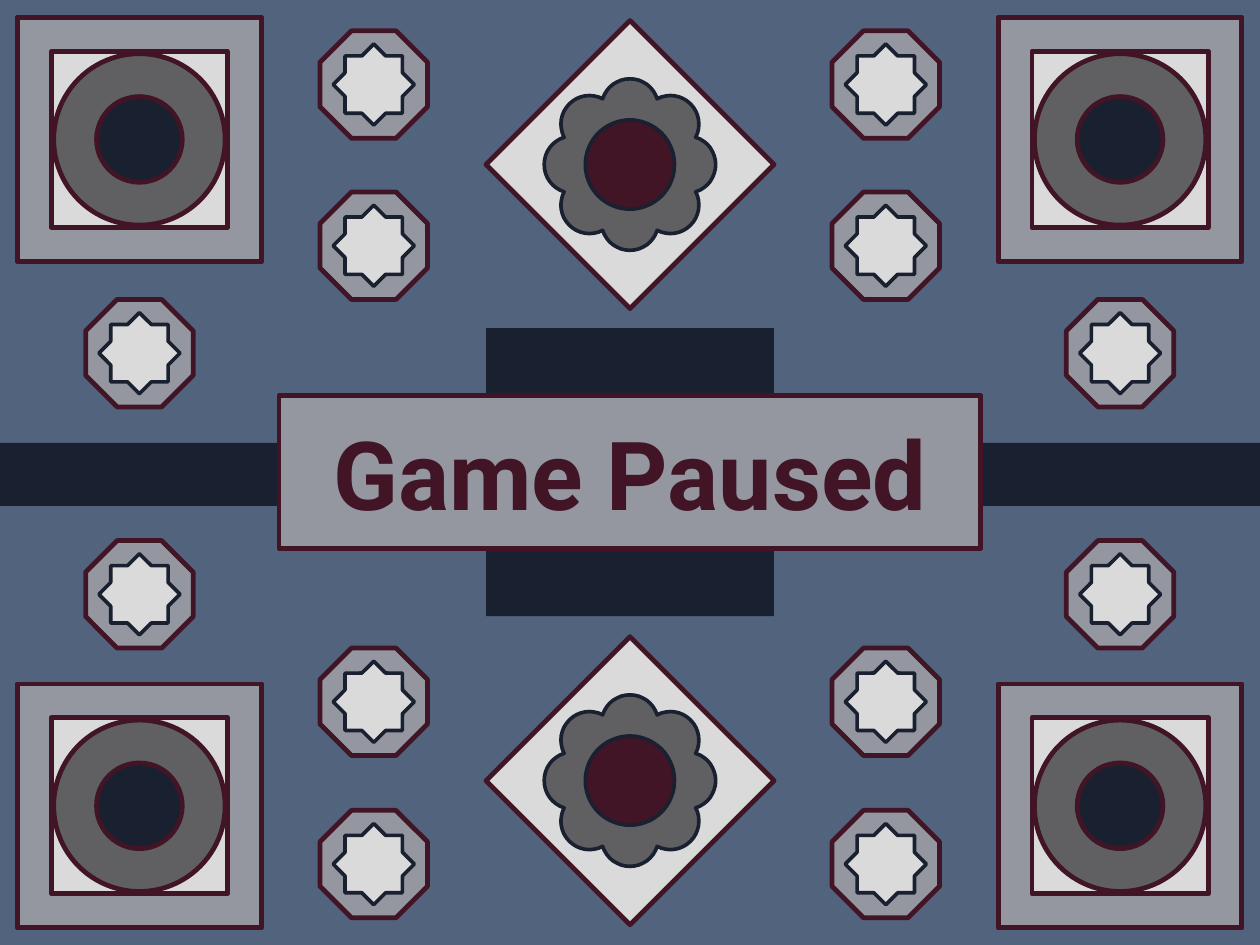
from dataclasses import dataclass
from itertools import product
from math import atan2, cos, pi, sin, sqrt

from pptx import Presentation
from pptx.dml.color import RGBColor
from pptx.enum.shapes import MSO_SHAPE
from pptx.enum.text import MSO_ANCHOR, MSO_AUTO_SIZE, PP_ALIGN
from pptx.util import Inches, Pt

# The page measures 28 by 21 centimetres.
WIDTH, HEIGHT = 28 / 2.54, 21 / 2.54
MIDDLE = WIDTH / 2
UNITS_PER_INCH = 1000


@dataclass(frozen=True)
class Theme:
    backdrop: str = "52637D"
    navy: str = "192030"
    wine: str = "411525"
    stone: str = "9497A0"
    pale: str = "DADADA"
    slate: str = "606063"
    font: str = "Roboto"
    title_size: float = 60
    thick: float = 3
    thin: float = 2.3


def circle_points(x, y, radius, start, sweep, steps):
    """Points along an arc in freeform units; angles are in radians."""
    angles = [start + sweep * step / steps for step in range(steps + 1)]
    return [((x + radius * cos(angle)) * UNITS_PER_INCH,
             (y + radius * sin(angle)) * UNITS_PER_INCH) for angle in angles]


class MosaicSlide:
    def __init__(self, deck, theme):
        self.theme = theme
        self.slide = deck.slides.add_slide(deck.slide_layouts[5])
        background = self.slide.background.fill
        background.solid()
        background.fore_color.rgb = RGBColor.from_string(theme.backdrop)

    def paint(self, shape, fill, line=None, weight=None):
        shape.fill.solid()
        shape.fill.fore_color.rgb = RGBColor.from_string(fill)
        if line:
            shape.line.color.rgb = RGBColor.from_string(line)
            shape.line.width = Pt(weight or self.theme.thick)
        else:
            shape.line.fill.background()

    def figure(self, kind, x, y, size, fill, line=None, weight=None, adjust=None):
        """Preset shape centred on x, y; size is a side or a (width, height) pair."""
        width, height = size if isinstance(size, tuple) else (size, size)
        shape = self.slide.shapes.add_shape(
            kind, Inches(x - width / 2), Inches(y - height / 2),
            Inches(width), Inches(height))
        shape.shadow.inherit = False
        if adjust is not None:
            shape.adjustments[0] = adjust
        self.paint(shape, fill, line, weight)

    def tile(self, x, y):
        theme = self.theme
        self.figure(MSO_SHAPE.DONUT, x, y, 1.5, theme.navy, theme.wine, adjust=0.5)
        for fill, border in ((theme.pale, 0.316), (theme.stone, 0.138)):
            self.figure(MSO_SHAPE.FRAME, x, y, 2.13, fill, theme.wine, adjust=border)
        self.figure(MSO_SHAPE.DONUT, x, y, 1.5, theme.slate, theme.wine, adjust=0.25)

    def medallion(self, x, y):
        theme = self.theme
        self.figure(MSO_SHAPE.OCTAGON, x, y, 0.94, theme.stone, theme.wine, adjust=0.293)
        self.figure(MSO_SHAPE.STAR_8_POINT, x, y, 0.71, theme.pale, theme.navy,
                    theme.thin, adjust=0.383)

    def diamond(self, x, y):
        theme = self.theme
        self.figure(MSO_SHAPE.DIAMOND, x, y, 2.52, theme.pale, theme.wine)
        self.figure(MSO_SHAPE.OVAL, x, y, 1.02, theme.wine)
        self.flower(x, y)

    def flower(self, x, y, petals=8, reach=0.5, radius=0.25, hole=0.39):
        """Ring of round petals, cut where neighbours meet, with an open centre."""
        half = pi / petals
        notch = reach * cos(half) + sqrt(radius ** 2 - (reach * sin(half)) ** 2)
        spread = atan2(notch * sin(half), notch * cos(half) - reach)
        outline = []
        for petal in range(petals):
            turn = 2 * half * petal
            outline += circle_points(x + reach * cos(turn), y + reach * sin(turn),
                                     radius, turn - spread, 2 * spread, 16)
        builder = self.slide.shapes.build_freeform(
            *outline[0], scale=Inches(1) / UNITS_PER_INCH)
        builder.add_line_segments(outline[1:], close=True)
        opening = circle_points(x, y, hole, 0, -2 * pi, 72)
        builder.move_to(*opening[0])
        builder.add_line_segments(opening[1:], close=True)
        shape = builder.convert_to_shape()
        shape.shadow.inherit = False
        self.paint(shape, self.theme.slate, self.theme.navy, self.theme.thin)

    def title(self, text, left, top, width, height):
        title = self.slide.shapes.title
        title.left, title.top = Inches(left), Inches(top)
        title.width, title.height = Inches(width), Inches(height)
        self.paint(title, self.theme.stone, self.theme.wine)
        frame = title.text_frame
        frame.text = text
        frame.word_wrap = False
        frame.auto_size = MSO_AUTO_SIZE.NONE
        frame.vertical_anchor = MSO_ANCHOR.MIDDLE
        frame.margin_left = frame.margin_right = Inches(0.12)
        frame.margin_top = frame.margin_bottom = Inches(0.07)
        para = frame.paragraphs[0]
        para.alignment = PP_ALIGN.CENTER
        font = para.runs[0].font
        font.name, font.size, font.bold = self.theme.font, Pt(self.theme.title_size), True
        font.color.rgb = RGBColor.from_string(self.theme.wine)
        # The title plate lies in front of the dark cross.
        self.slide.shapes.element.append(title.element)


def main():
    deck = Presentation()
    deck.slide_width, deck.slide_height = Inches(WIDTH), Inches(HEIGHT)
    theme = Theme()
    page = MosaicSlide(deck, theme)

    page.figure(MSO_SHAPE.RECTANGLE, MIDDLE, 4.15, (WIDTH, 0.55), theme.navy)
    page.figure(MSO_SHAPE.RECTANGLE, MIDDLE, 4.13, 2.52, theme.navy)
    page.title("Game Paused", 2.44, 3.46, 6.14, 1.34)

    outer_columns = (1.22, 9.8)
    inner_columns = (3.27, 7.75)
    for x, y in product(outer_columns, (1.22, 7.05)):
        page.tile(x, y)
    for y in (1.44, 6.83):
        page.diamond(MIDDLE, y)
    for x, y in product(outer_columns, (3.09, 5.2)):
        page.medallion(x, y)
    for x, y in product(inner_columns, (0.74, 2.15, 6.14, 7.56)):
        page.medallion(x, y)

    deck.save("out.pptx")


if __name__ == "__main__":
    main()
